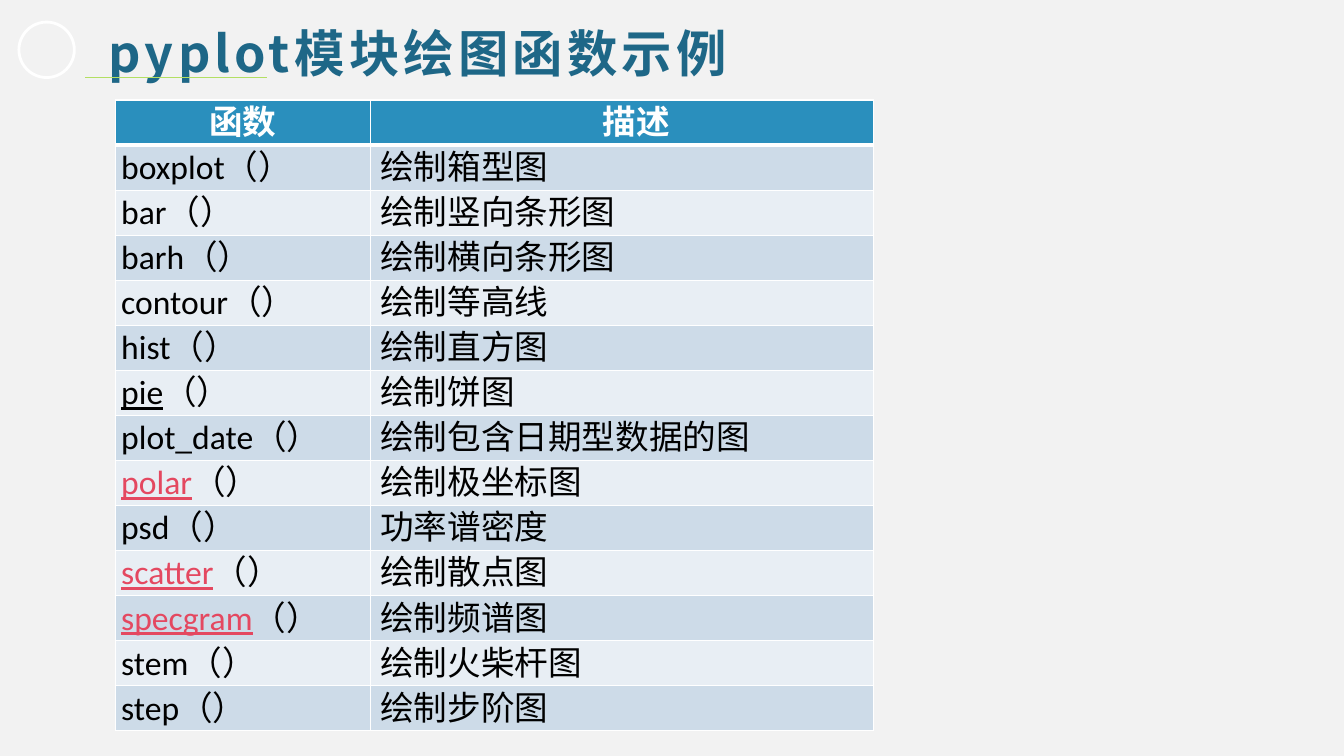
from dataclasses import dataclass

from lxml import etree
from pptx import Presentation
from pptx.dml.color import RGBColor
from pptx.enum import shapes, text
from pptx.oxml import ns
from pptx.util import Pt


@dataclass(frozen=True)
class Theme:
    background: str = "F2F2F2"
    title: str = "1E6787"
    white: str = "FFFFFF"
    rule: str = "B3DF63"
    header: str = "2A8FBD"
    bands: tuple = ("CDDBE8", "E8EEF4")
    body: str = "000000"
    link: str = "E44860"
    title_font: str = "Noto Sans CJK SC"
    body_font: str = "Calibri"
    title_size: int = 36
    body_size: int = 24


THEME = Theme()
HEADINGS = ("函数", "描述")
FUNCTIONS = [
    ("boxplot", "绘制箱型图"),
    ("bar", "绘制竖向条形图"),
    ("barh", "绘制横向条形图"),
    ("contour", "绘制等高线"),
    ("hist", "绘制直方图"),
    ("pie", "绘制饼图"),
    ("plot_date", "绘制包含日期型数据的图"),
    ("polar", "绘制极坐标图"),
    ("psd", "功率谱密度"),
    ("scatter", "绘制散点图"),
    ("specgram", "绘制频谱图"),
    ("stem", "绘制火柴杆图"),
    ("step", "绘制步阶图"),
]
UNDERLINED = {"pie": THEME.body, "polar": THEME.link,
              "scatter": THEME.link, "specgram": THEME.link}


def rgb(colour):
    return RGBColor.from_string(colour)


def format_run(run, font, size, colour, bold=False):
    run.font.name = font
    run.font.size = Pt(size)
    run.font.bold = bold
    run.font.color.rgb = rgb(colour)
    east_asian = etree.SubElement(run.font._element, ns.qn("a:ea"))
    east_asian.set("typeface", font)


def add_border(cell, side, width):
    border = etree.SubElement(cell._tc.get_or_add_tcPr(), ns.qn(f"a:{side}"))
    border.set("w", str(Pt(width)))
    fill = etree.SubElement(border, ns.qn("a:solidFill"))
    etree.SubElement(fill, ns.qn("a:srgbClr")).set("val", THEME.white)


def format_cell(cell, fill, bottom=1, top=1):
    for side, width in (("lnL", 1), ("lnR", 1), ("lnT", top), ("lnB", bottom)):
        add_border(cell, side, width)
    cell.fill.solid()
    cell.fill.fore_color.rgb = rgb(fill)
    cell.vertical_anchor = text.MSO_ANCHOR.MIDDLE
    cell.margin_left = cell.margin_right = Pt(4.32)
    cell.margin_top, cell.margin_bottom = Pt(0.72), Pt(0)


def indent_first_line(paragraph, indent):
    paragraph._p.get_or_add_pPr().set("indent", str(Pt(indent)))


def add_heading(slide, left, top, width, height):
    heading = slide.shapes.title
    heading.left, heading.top = Pt(left + 57), Pt(top)
    heading.width, heading.height = Pt(width - 57), Pt(height)
    frame = heading.text_frame
    frame.text = "pyplot模块绘图函数示例"
    frame.word_wrap = True
    frame.auto_size = text.MSO_AUTO_SIZE.NONE
    frame.vertical_anchor = text.MSO_ANCHOR.MIDDLE
    paragraph = frame.paragraphs[0]
    paragraph.alignment = text.PP_ALIGN.LEFT
    run = paragraph.runs[0]
    format_run(run, THEME.title_font, THEME.title_size, THEME.title, True)
    run.font._element.set("spc", "300")

    ring = slide.shapes.add_shape(shapes.MSO_SHAPE.OVAL, Pt(left), Pt(top + 4.3),
                                  Pt(39.6), Pt(39.6))
    ring.shadow.inherit = False
    ring.fill.background()
    ring.line.color.rgb = rgb(THEME.white)
    ring.line.width = Pt(2)

    rule_y = Pt(top + 43.9)
    rule = slide.shapes.add_connector(shapes.MSO_CONNECTOR.STRAIGHT,
                                      Pt(left + 47.5), rule_y,
                                      Pt(left + 177.1), rule_y)
    rule.line.color.rgb = rgb(THEME.rule)
    rule.line.width = Pt(0.75)
    etree.SubElement(rule._element.spPr, ns.qn("a:effectLst"))


def add_function_table(slide, left, top, width, height):
    row_count = len(FUNCTIONS) + 1
    table = slide.shapes.add_table(row_count, 2, Pt(left), Pt(top),
                                   Pt(width), Pt(height)).table
    name_width = 182.2
    table.columns[0].width = Pt(name_width)
    table.columns[1].width = Pt(width - name_width)
    for row in table.rows:
        row.height = Pt(height / row_count)

    for column, heading in enumerate(HEADINGS):
        cell = table.cell(0, column)
        format_cell(cell, THEME.header, bottom=3)
        paragraph = cell.text_frame.paragraphs[0]
        paragraph.text = heading
        paragraph.alignment = text.PP_ALIGN.CENTER
        indent_first_line(paragraph, 20.9 * column)
        format_run(paragraph.runs[0], THEME.body_font, THEME.body_size,
                   THEME.white, True)

    for row, (name, description) in enumerate(FUNCTIONS, start=1):
        parts = [name, "（）"] if name in UNDERLINED else [name + "（）"]
        for column, pieces in enumerate((parts, [description])):
            cell = table.cell(row, column)
            format_cell(cell, THEME.bands[(row - 1) % 2], top=3 if row == 1 else 1)
            paragraph = cell.text_frame.paragraphs[0]
            indent_first_line(paragraph, 2.9 * column)
            for piece in pieces:
                run = paragraph.add_run()
                run.text = piece
                format_run(run, THEME.body_font, THEME.body_size,
                           UNDERLINED.get(piece, THEME.body))
                run.font.underline = piece in UNDERLINED


def main():
    deck = Presentation()
    deck.slide_width, deck.slide_height = Pt(960), Pt(540)
    slide = deck.slides.add_slide(deck.slide_layouts[5])
    slide.background.fill.solid()
    slide.background.fill.fore_color.rgb = rgb(THEME.background)
    add_heading(slide, 13.5, 11.5, 622.2, 51.1)
    add_function_table(slide, 82.3, 71.5, 541.4, 450.7)
    deck.save("out.pptx")


if __name__ == "__main__":
    main()
